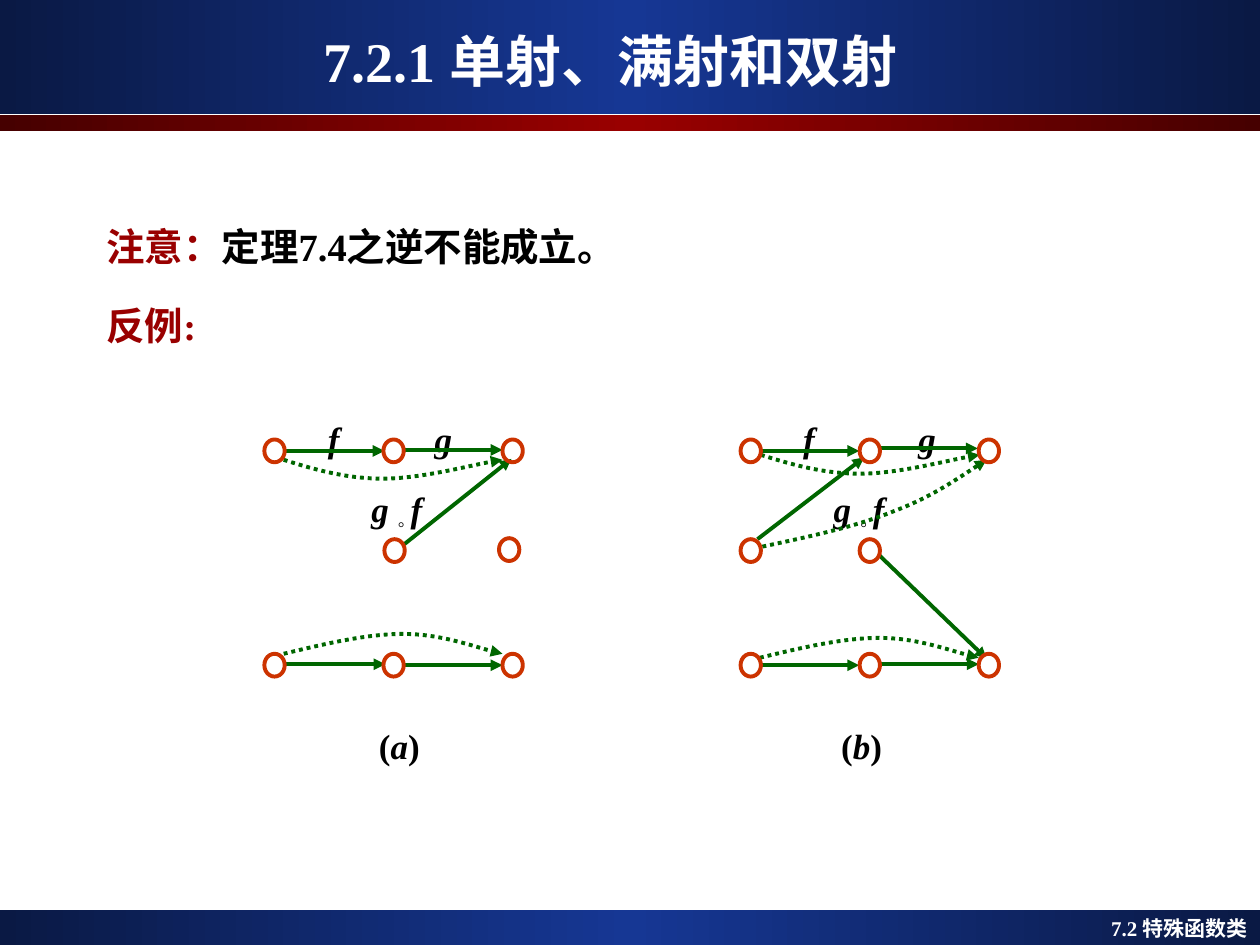
import copy
from dataclasses import dataclass

import pptx
import pptx.dml.color
import pptx.enum.dml
import pptx.enum.shapes
import pptx.enum.text
import pptx.oxml.ns
import pptx.util
from lxml import etree

Cm, Pt, qn = pptx.util.Cm, pptx.util.Pt, pptx.oxml.ns.qn
Align = pptx.enum.text.PP_ALIGN
Kind = pptx.enum.shapes.MSO_SHAPE
FONT = "Times New Roman"
HUES = {"navy": "0A1944", "blue": "163794", "dark": "460000", "red": "990000",
        "node": "CC3300", "edge": "006600", "white": "FFFFFF", "black": "000000"}


@dataclass
class Bit:
    text: str
    hue: str = "black"
    slant: bool = False
    sub: bool = False


@dataclass
class Label:
    x: float  # centre, from the left of the panel
    y: float
    bits: list


@dataclass
class Panel:
    left: float
    nodes: list
    lines: list
    curves: list
    labels: list


def rgb(hue: str):
    return pptx.dml.color.RGBColor.from_string(HUES[hue])


def write(para, bits: list, size: float) -> None:
    for bit in bits:
        run = para.add_run()
        run.text = bit.text
        font = run.font
        font.name = "Arial" if bit.sub else FONT
        font.size, font.bold, font.italic = Pt(size), True, bit.slant
        font.color.rgb = rgb(bit.hue)
        if bit.sub:
            font._element.set("baseline", "-25000")


def add_text(slide, x: float, y: float, w: float, h: float, inset: bool = True):
    frame = slide.shapes.add_textbox(Cm(x), Cm(y), Cm(w), Cm(h)).text_frame
    frame.word_wrap = True
    if not inset:
        frame.margin_left = frame.margin_right = 0
        frame.margin_top = frame.margin_bottom = 0
    return frame


def add_band(slide, top: float, high: float, edge: str, mid: str) -> None:
    band = slide.shapes.add_shape(Kind.RECTANGLE, 0, Cm(top), Cm(25.4), Cm(high))
    band.shadow.inherit = False
    band.line.fill.background()
    band.fill.gradient()
    band.fill.gradient_angle = 0
    stops = band.fill.gradient_stops
    for stop in stops:
        stop.color.rgb = rgb(edge)
    first = stops[0]._gs
    first.addnext(copy.deepcopy(first))
    core = band.fill.gradient_stops[1]
    core.position, core.color.rgb = 0.5, rgb(mid)


def style(line, hue: str, arrow: bool = False) -> None:
    line.color.rgb = rgb(hue)
    line.width = Pt(2.25)
    if arrow:
        etree.SubElement(line._get_or_add_ln(), qn("a:tailEnd"), type="triangle")


def add_node(slide, x: float, y: float, solid: bool = False) -> None:
    node = slide.shapes.add_shape(Kind.OVAL, Cm(x), Cm(y), Cm(0.41), Cm(0.46))
    node.shadow.inherit = False
    if solid:
        node.fill.solid()
        node.fill.fore_color.rgb = rgb("white")
    else:
        node.fill.background()
    style(node.line, "node")


def add_arrow(slide, x1: float, y1: float, x2: float, y2: float) -> None:
    arrow = slide.shapes.add_connector(
        pptx.enum.shapes.MSO_CONNECTOR.STRAIGHT, Cm(x1), Cm(y1), Cm(x2), Cm(y2))
    style(arrow.line, "edge", True)
    etree.SubElement(arrow._element.spPr, qn("a:effectLst"))


def add_curve(slide, left: float, points: list) -> None:
    spots = [(Cm(left + x), Cm(y)) for x, y in points]
    maker = slide.shapes.build_freeform(*spots[0])
    maker.add_line_segments(spots[1:], close=False)
    curve = maker.convert_to_shape()
    # Every three segments become one Bezier arc
    legs = list(curve._element.iter(qn("a:lnTo")))
    for i in range(0, len(legs), 3):
        arc = etree.Element(qn("a:cubicBezTo"))
        legs[i].addprevious(arc)
        for leg in legs[i:i + 3]:
            arc.append(leg[0])
            leg.getparent().remove(leg)
    curve.shadow.inherit = False
    curve.fill.background()
    curve.line.dash_style = pptx.enum.dml.MSO_LINE.ROUND_DOT
    style(curve.line, "edge", True)


def shift(points: list, dx: float, dy: float) -> list:
    return [(x + dx, y + dy) for x, y in points]


def add_panel(slide, panel: Panel) -> None:
    left = panel.left
    for label in panel.labels:
        frame = add_text(slide, left + label.x - 1, label.y, 2, 0.85, False)
        para = frame.paragraphs[0]
        para.alignment = Align.CENTER
        write(para, label.bits, 20)
    for x1, y1, x2, y2 in panel.lines:
        add_arrow(slide, left + x1, y1, left + x2, y2)
    for points in panel.curves:
        add_curve(slide, left, points)
    for x, y, *solid in panel.nodes:
        add_node(slide, left + x, y, *solid)


def labels(f: float, g: float, both: float, name: float, char: str) -> list:
    return [Label(f, 8.41, [Bit("f", slant=True)]),
            Label(g, 8.41, [Bit("g", slant=True)]),
            Label(both, 9.83, [Bit("g ", slant=True), Bit("◦ ", sub=True),
                               Bit("f", slant=True)]),
            Label(name, 14.6, [Bit("("), Bit(char, slant=True), Bit(")")])]


# Node grid and the curves shared by both panels
STEP, TOP, MID, LOW = 2.4, 8.86, 10.87, 13.18
ROW = [(i * STEP, TOP) for i in range(3)]
BASE = [(i * STEP, LOW) for i in range(3)]
SAG = [(0.39, 9.27), (1.02, 9.47), (1.66, 9.65), (2.39, 9.65),
       (3.13, 9.65), (4.4, 9.32), (4.8, 9.27)]
ARCH = [(0.39, 13.18), (1.22, 12.98), (2.06, 12.78), (2.8, 12.78),
        (3.53, 12.78), (4.45, 13.11), (4.8, 13.18)]
RISE = [(0.44, 11.02), (1.38, 10.82), (2.32, 10.62), (3.08, 10.31),
        (3.82, 10.03), (4.37, 9.65), (4.96, 9.27)]

PANELS = [
    Panel(5.33, ROW + BASE + [(2.42, MID), (4.73, 10.85)],
          [(0.41, 9.09, 2.42, 9.09), (2.8, 9.07, 4.8, 9.07),
           (0.44, 13.39, 2.44, 13.39), (2.8, 13.41, 4.8, 13.41),
           (2.82, 10.97, 4.98, 9.25)],
          [SAG, ARCH], labels(1.4, 3.61, 2.67, 2.72, "a")),
    Panel(14.93, ROW + BASE[:2] + [(0, MID), (STEP, MID), (2 * STEP, LOW, True)],
          [(0.39, 9.09, 2.39, 9.09), (2.77, 9.04, 4.78, 9.04),
           (0.39, 13.41, 2.39, 13.41), (2.8, 13.39, 4.8, 13.39),
           (2.8, 11.2, 4.96, 13.28), (0.34, MID, 2.49, 9.22)],
          [shift(SAG, 0.02, -0.1), shift(ARCH, 0, 0.08), RISE],
          labels(1.38, 3.76, 2.39, 2.44, "b")),
]


def main() -> None:
    deck = pptx.Presentation()
    deck.slide_width, deck.slide_height = Cm(25.4), Cm(19.05)
    slide = deck.slides.add_slide(deck.slide_layouts[5])

    # Bands
    add_band(slide, 18.34, 0.71, "navy", "blue")
    add_band(slide, 0, 2.31, "navy", "blue")
    add_band(slide, 2.31, 0.34, "dark", "red")

    # Title, raised above the bands
    title = slide.shapes.title
    title.left, title.top, title.width, title.height = Cm(0.56), Cm(0.43), Cm(23.5), Cm(1.57)
    title.text_frame.vertical_anchor = pptx.enum.text.MSO_ANCHOR.MIDDLE
    para = title.text_frame.paragraphs[0]
    para.alignment = Align.CENTER
    write(para, [Bit("7.2.1 单射、满射和双射", "white")], 32)
    slide.shapes._spTree.append(title._element)

    # Section name
    para = add_text(slide, 19.1, 18.34, 6.3, 0.76).paragraphs[0]
    para.alignment = Align.RIGHT
    write(para, [Bit("7.2 特殊函数类", "white")], 12)

    # Remark
    frame = add_text(slide, 1.9, 3.91, 15.4, 4.39)
    first, second = frame.paragraphs[0], frame.add_paragraph()
    first.line_spacing = second.line_spacing = 1.5
    second.space_before = Pt(5.5)
    write(first, [Bit("注意：", "red"), Bit("定理7.4之逆不能成立。")], 22)
    write(second, [Bit("反例:", "red")], 22)

    # Mapping diagrams
    for panel in PANELS:
        add_panel(slide, panel)

    deck.save("out.pptx")


if __name__ == "__main__":
    main()
